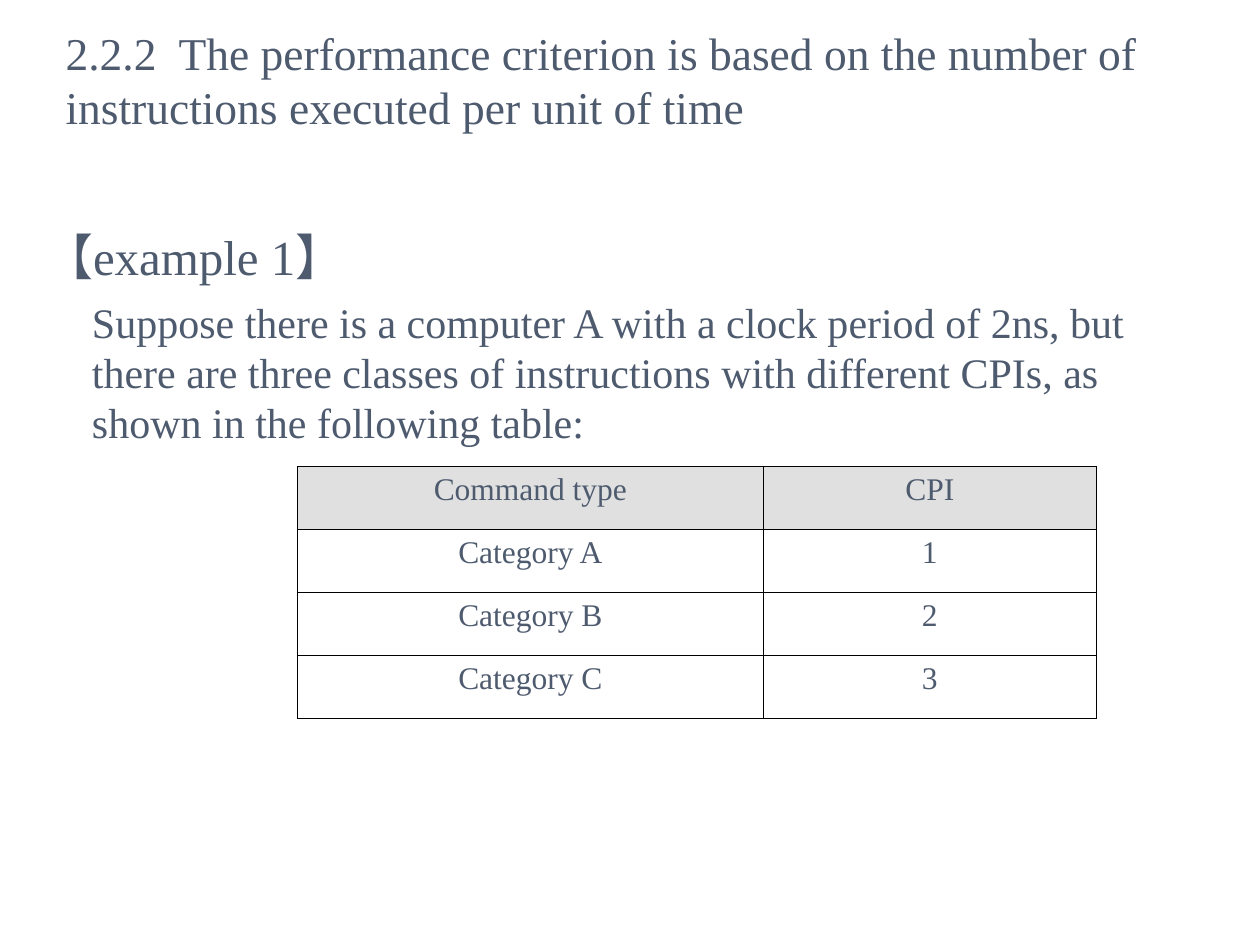
from pptx import Presentation
from pptx.dml.color import RGBColor
from pptx.enum.text import MSO_ANCHOR, MSO_AUTO_SIZE, PP_ALIGN
from pptx.oxml.ns import qn
from pptx.util import Inches, Pt
from lxml import etree

LEFT, CENTER = PP_ALIGN.LEFT, PP_ALIGN.CENTER
TOP, MIDDLE = MSO_ANCHOR.TOP, MSO_ANCHOR.MIDDLE
NO_AUTOFIT = MSO_AUTO_SIZE.NONE
TITLE_ONLY_WITH_BODY = 1

FONT = "Times New Roman"
SLATE, BLACK, HEADER_GRAY = "4E5B6F", "000000", "E0E0E0"

TITLE = ("2.2.2  The performance criterion is based on the number of "
         "instructions executed per unit of time")
EXAMPLE = "【example 1】"
PROBLEM = ("Suppose there is a computer A with a clock period of 2ns, but there are "
           "three classes of instructions with different CPIs, as shown in the "
           "following table:")
CPI_ROWS = [
    ("Command type", "CPI"),
    ("Category A", "1"),
    ("Category B", "2"),
    ("Category C", "3"),
]
COLUMN_WIDTHS = (3.7, 2.64)
ROW_HEIGHT = 0.5


def color(hex_string):
    return RGBColor.from_string(hex_string)


def add_span(para, text, size, align=LEFT):
    para.alignment = align
    span = para.add_run()
    span.text = text
    span.font.name = FONT
    span.font.size = Pt(size)
    span.font.color.rgb = color(SLATE)


def prepare_placeholder(box, left, top, width, height, anchor):
    box.left, box.top = Inches(left), Inches(top)
    box.width, box.height = Inches(width), Inches(height)
    frame = box.text_frame
    frame.word_wrap = True
    frame.auto_size = NO_AUTOFIT
    frame.vertical_anchor = anchor
    return frame


def remove_bullet(para, indent=0):
    properties = para._p.get_or_add_pPr()
    properties.set("marL", str(Inches(indent)))
    properties.set("indent", "0")
    etree.SubElement(properties, qn("a:buNone"))


def add_title(page):
    frame = prepare_placeholder(page.shapes.title, 0.42, 0.17, 9.5, 0.92, MIDDLE)
    add_span(frame.paragraphs[0], TITLE, 26)


def add_body(page):
    frame = prepare_placeholder(page.placeholders[1], 0.25, 1.75, 9.5, 5.33, TOP)
    heading = frame.paragraphs[0]
    remove_bullet(heading)
    heading.space_before = Pt(0)
    add_span(heading, EXAMPLE, 28)
    problem = frame.add_paragraph()
    remove_bullet(problem, 0.38)
    problem.space_before = Pt(6)
    add_span(problem, PROBLEM, 24)


def add_borders(cell):
    properties = cell._tc.get_or_add_tcPr()
    for side in ("a:lnL", "a:lnR", "a:lnT", "a:lnB"):
        line = etree.SubElement(properties, qn(side), w=str(Pt(0.45)))
        fill = etree.SubElement(line, qn("a:solidFill"))
        etree.SubElement(fill, qn("a:srgbClr"), val=BLACK)


def add_cpi_table(page):
    frame = page.shapes.add_table(
        len(CPI_ROWS), len(COLUMN_WIDTHS), Inches(2.36), Inches(3.7),
        Inches(sum(COLUMN_WIDTHS)), Inches(ROW_HEIGHT * len(CPI_ROWS)))
    table = frame.table
    table.first_row = table.horz_banding = False
    for column, width in zip(table.columns, COLUMN_WIDTHS):
        column.width = Inches(width)
    for row_index, values in enumerate(CPI_ROWS):
        table.rows[row_index].height = Inches(ROW_HEIGHT)
        for column_index, value in enumerate(values):
            cell = table.cell(row_index, column_index)
            add_borders(cell)
            if row_index == 0:
                cell.fill.solid()
                cell.fill.fore_color.rgb = color(HEADER_GRAY)
            else:
                cell.fill.background()
            add_span(cell.text_frame.paragraphs[0], value, 18, CENTER)


def main():
    deck = Presentation()
    deck.slide_width, deck.slide_height = Inches(10), Inches(7.5)
    page = deck.slides.add_slide(deck.slide_layouts[TITLE_ONLY_WITH_BODY])
    add_title(page)
    add_body(page)
    add_cpi_table(page)
    deck.save("out.pptx")


if __name__ == "__main__":
    main()
